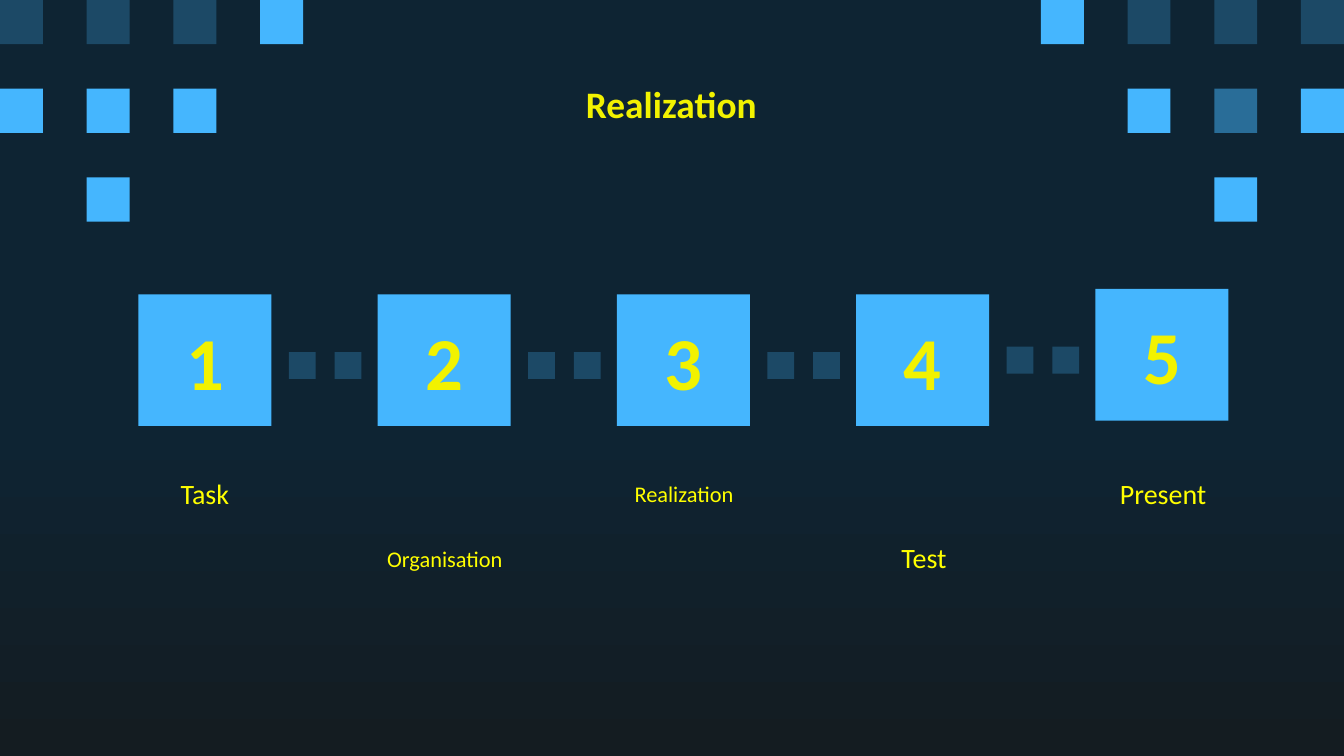
from dataclasses import dataclass

from pptx import Presentation
from pptx.dml.color import RGBColor
from pptx.enum.shapes import MSO_SHAPE
from pptx.enum.text import MSO_ANCHOR, MSO_AUTO_SIZE, PP_ALIGN
from pptx.slide import Slide
from pptx.text.text import TextFrame
from pptx.util import Inches, Pt

COLORS = {
    "night": "0E2433",
    "charcoal": "141C21",
    "sky": "45B6FE",
    "steel": "296D98",
    "navy": "1C4966",
    "heading": "F2F200",
    "label": "FFFF00",
}
FONT = "Calibri"
SLIDE_WIDTH = Inches(10)
SLIDE_HEIGHT = SLIDE_WIDTH * 9 // 16

CORNER_ROWS = [
    "NNNS........SNNN",
    "SSS..........STS",
    ".S............S.",
]
CORNER_COLORS = {"N": "navy", "S": "sky", "T": "steel"}
CORNER_WIDTH, CORNER_HEIGHT = 0.32, 0.33
COLUMN_PITCH = (10 - CORNER_WIDTH) / 15
ROW_PITCH = 0.66

STEP_LEFT, STEP_PITCH = 1.03, 1.78
STEP_WIDTH, STEP_HEIGHT = 0.99, 0.98
LINK_SIZE, LINK_DROP = 0.2, 0.43
LINK_OFFSETS = (1.12, 1.46)


@dataclass
class Box:
    left: float
    top: float
    width: float
    height: float

    def emu(self) -> tuple:
        return tuple(Inches(n) for n in (self.left, self.top, self.width, self.height))


@dataclass
class Step:
    label: str
    label_box: Box
    label_size: int
    top: float = 2.19
    link_top: float = 2.19


STEPS = [
    Step("Task", Box(0.78, 3.49, 1.49, 0.33), 15),
    Step("Organisation", Box(2.17, 4.01, 2.28, 0.27), 12),
    Step("Realization", Box(3.99, 3.49, 2.2, 0.33), 12),
    Step("Test", Box(6.13, 3.96, 1.49, 0.33), 15, link_top=2.15),
    Step("Present", Box(7.81, 3.49, 1.69, 0.33), 15, top=2.15),
]


def rgb(name: str) -> RGBColor:
    return RGBColor.from_string(COLORS[name])


def write(frame: TextFrame, text: str, size: int, color: str,
          bold: bool = False, spacing: float = 1.0) -> None:
    frame.text = text
    frame.word_wrap = True
    frame.auto_size = MSO_AUTO_SIZE.NONE
    frame.vertical_anchor = MSO_ANCHOR.MIDDLE
    frame.margin_left = frame.margin_right = Inches(0.1)
    frame.margin_top = frame.margin_bottom = Inches(0.1)
    paragraph = frame.paragraphs[0]
    paragraph.alignment = PP_ALIGN.CENTER
    paragraph.line_spacing = spacing
    font = paragraph.runs[0].font
    font.name = FONT
    font.size = Pt(size)
    font.bold = bold
    font.color.rgb = rgb(color)


def add_square(slide: Slide, box: Box, color: str, text: str = "") -> None:
    square = slide.shapes.add_shape(MSO_SHAPE.RECTANGLE, *box.emu())
    square.shadow.inherit = False
    square.fill.solid()
    square.fill.fore_color.rgb = rgb(color)
    square.line.fill.background()
    if text:
        write(square.text_frame, text, 40, "heading", bold=True)


def paint_background(slide: Slide) -> None:
    fill = slide.background.fill
    fill.gradient()
    fill.gradient_angle = 270
    for stop, position, color in zip(fill.gradient_stops, (0.56, 1), ("night", "charcoal")):
        stop.position = position
        stop.color.rgb = rgb(color)


def add_corners(slide: Slide) -> None:
    for row, pattern in enumerate(CORNER_ROWS):
        for column, code in enumerate(pattern):
            if code in CORNER_COLORS:
                box = Box(column * COLUMN_PITCH, row * ROW_PITCH, CORNER_WIDTH, CORNER_HEIGHT)
                add_square(slide, box, CORNER_COLORS[code])


def add_title(slide: Slide, text: str, box: Box) -> None:
    title = slide.shapes.title
    title.left, title.top, title.width, title.height = box.emu()
    write(title.text_frame, text, 20, "heading", bold=True)


def add_step(slide: Slide, index: int, step: Step) -> None:
    left = STEP_LEFT + index * STEP_PITCH
    add_square(slide, Box(left, step.top, STEP_WIDTH, STEP_HEIGHT), "sky", str(index + 1))
    if index < len(STEPS) - 1:
        for offset in LINK_OFFSETS:
            link = Box(left + offset, step.link_top + LINK_DROP, LINK_SIZE, LINK_SIZE)
            add_square(slide, link, "navy")
    label = slide.shapes.add_textbox(*step.label_box.emu())
    write(label.text_frame, step.label, step.label_size, "label", spacing=1.15)


def main() -> None:
    deck = Presentation()
    deck.slide_width, deck.slide_height = SLIDE_WIDTH, SLIDE_HEIGHT
    slide = deck.slides.add_slide(deck.slide_layouts[5])
    paint_background(slide)
    add_corners(slide)
    add_title(slide, "Realization", Box(0.78, 0.59, 8.43, 0.36))
    for index, step in enumerate(STEPS):
        add_step(slide, index, step)
    deck.save("out.pptx")


if __name__ == "__main__":
    main()
